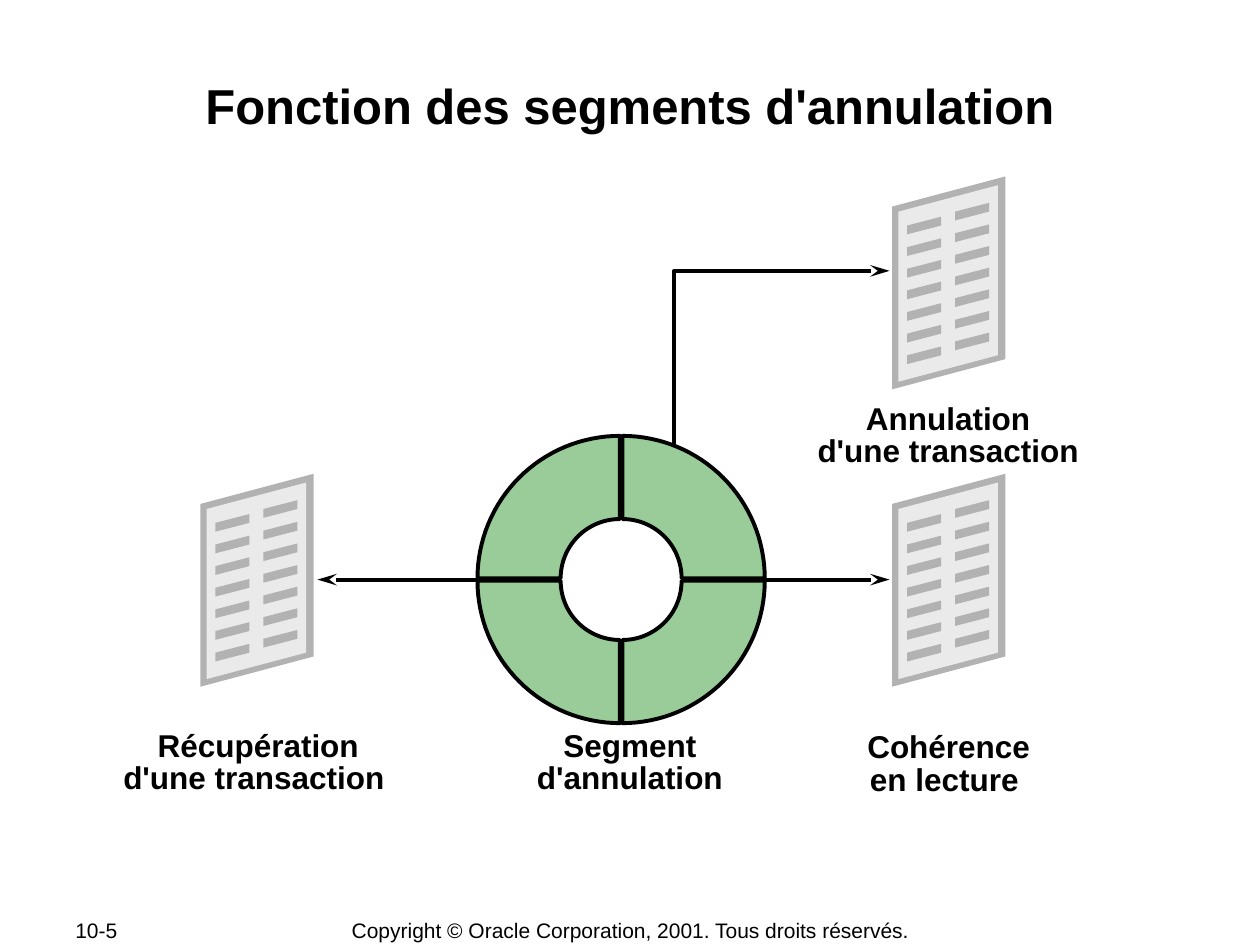
"""Build the slide on the purpose of undo segments."""
from math import cos, pi, sin

from lxml.etree import SubElement
from pptx import Presentation
from pptx.dml.color import RGBColor
from pptx.enum.shapes import MSO_CONNECTOR
from pptx.enum.text import MSO_ANCHOR, PP_ALIGN
from pptx.oxml.ns import qn
from pptx.util import Inches, Pt

BLACK = RGBColor(0x00, 0x00, 0x00)
GREY = RGBColor(0xB2, 0xB2, 0xB2)
PALE = RGBColor(0xEA, 0xEA, 0xEA)
GREEN = RGBColor(0x99, 0xCC, 0x99)


def add_text(slide, text, box, size=18, bold=True, align=PP_ALIGN.CENTER,
             anchor=MSO_ANCHOR.TOP, inset=(0.09, 0.04), wrap=True, spacing=None):
    shape = slide.shapes.add_textbox(*[Inches(v) for v in box])
    frame = shape.text_frame
    frame.word_wrap = wrap
    frame.vertical_anchor = anchor
    frame.margin_left = frame.margin_right = Inches(inset[0])
    frame.margin_top = frame.margin_bottom = Inches(inset[1])
    para = frame.paragraphs[0]
    para.text = text
    para.alignment = align
    para.line_spacing = spacing
    for run in para.runs:
        run.font.name = "Arial"
        run.font.size = Pt(size)
        run.font.bold = bold
        run.font.color.rgb = BLACK


def add_form(slide, points, fill=None, line=None, close=True):
    start, *rest = [(Inches(x), Inches(y)) for x, y in points]
    form = slide.shapes.build_freeform(*start, scale=1.0)
    form.add_line_segments(rest, close=close)
    shape = form.convert_to_shape()
    shape.shadow.inherit = False
    if fill is None:
        shape.fill.background()
    else:
        shape.fill.solid()
        shape.fill.fore_color.rgb = fill
    if line is None:
        shape.line.fill.background()
    else:
        shape.line.color.rgb = line
        shape.line.width = Pt(2.25)
    return shape


def add_head(shape):
    SubElement(shape.line._get_or_add_ln(), qn("a:tailEnd"),
               type="stealth", w="med", len="lg")


def add_arrow(slide, x1, x2, y):
    line = slide.shapes.add_connector(
        MSO_CONNECTOR.STRAIGHT, Inches(x1), Inches(y), Inches(x2), Inches(y))
    line.line.color.rgb = BLACK
    line.line.width = Pt(2.25)
    add_head(line)
    SubElement(line._element.spPr, qn("a:effectLst"))


def add_slant(slide, x, y, width, height, rise, fill):
    points = [(x + width, y + height), (x + width, y),
              (x, y + rise), (x, y + rise + height)]
    return add_form(slide, points, fill=fill)


def add_sheet(slide, x, y):
    parts = [add_slant(slide, x, y, 0.9, 1.45, 0.24, GREY),
             add_slant(slide, x + 0.05, y + 0.07, 0.79, 1.35, 0.21, PALE)]
    for col in range(2):
        for row in range(7):
            left = x + 0.12 + 0.38 * col
            top = y + 0.32 - 0.11 * col + 1.03 / 6 * row
            parts.append(add_slant(slide, left, top, 0.27, 0.07, 0.07, GREY))
    slide.shapes.add_group_shape(parts)


def add_ring(slide, x, y, outer=1.13, inner=0.47, gap=0.01, steps=32):
    for quarter in range(4):
        first = quarter * pi / 2
        mid = first + pi / 4
        cx = x + (gap if cos(mid) > 0 else -gap)
        cy = y + (gap if sin(mid) > 0 else -gap)
        turns = [first + pi / 2 * i / steps for i in range(steps + 1)]
        points = [(cx + outer * cos(t), cy + outer * sin(t)) for t in turns]
        points += [(cx + inner * cos(t), cy + inner * sin(t))
                   for t in reversed(turns)]
        add_form(slide, points, fill=GREEN, line=BLACK)


def main():
    deck = Presentation()
    deck.slide_width, deck.slide_height = Inches(10), Inches(7.5)
    slide = deck.slides.add_slide(deck.slide_layouts[6])

    foot = {"size": 12, "bold": False, "anchor": MSO_ANCHOR.MIDDLE}
    add_text(slide, "10-5", (0.5, 7.28, 1.06, 0.2), align=PP_ALIGN.LEFT,
             inset=(0.1, 0), **foot)
    add_text(slide, "Copyright © Oracle Corporation, 2001. Tous droits réservés.",
             (2.76, 7.28, 4.49, 0.2), wrap=False, inset=(0, 0), **foot)
    add_text(slide, "Fonction des segments d'annulation", (1, 0.58, 8, 0.96),
             size=28, inset=(0.01, 0.02))

    elbow = [(5.35, 3.59), (5.35, 2.15), (7.06, 2.15)]
    add_head(add_form(slide, elbow, line=BLACK, close=False))
    add_arrow(slide, 4.16, 2.52, 4.6)
    add_arrow(slide, 5.62, 7.06, 4.6)
    add_ring(slide, 4.93, 4.6)

    for x, y in [(7.08, 1.4), (1.59, 3.76), (7.08, 3.76)]:
        add_sheet(slide, x, y)

    labels = [("Annulation\vd'une transaction", (5.82, 3.17, 3.41, 0.6)),
              ("Récupération\vd'une transaction ", (0.72, 5.77, 2.66, 0.6)),
              ("Segment d'annulation", (3.78, 5.77, 2.44, 0.6)),
              ("Cohérence\ven lecture ", (6.2, 5.78, 2.66, 0.6))]
    for text, box in labels:
        add_text(slide, text, box, spacing=0.85)

    deck.save("out.pptx")


if __name__ == "__main__":
    main()
